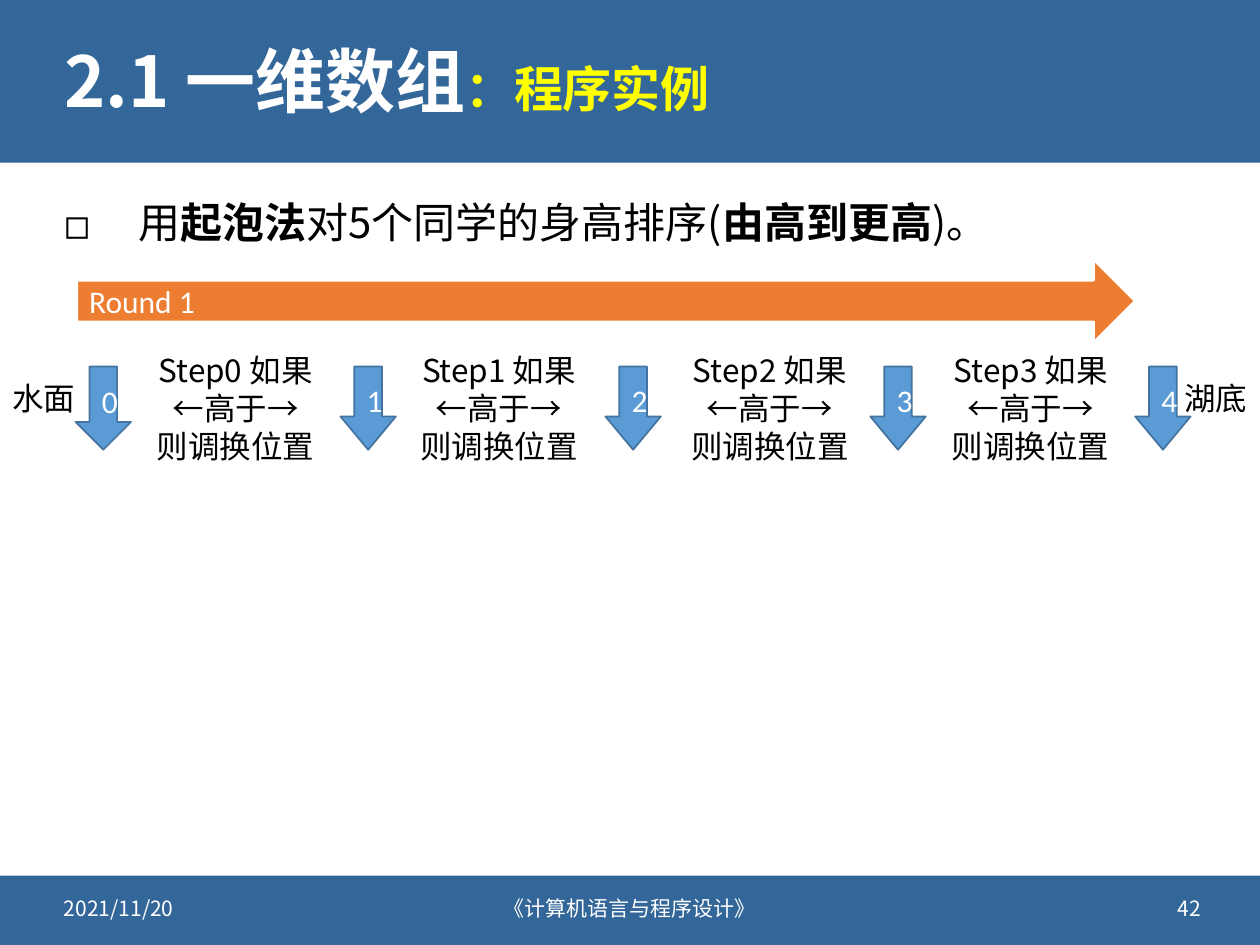
from lxml import etree
from pptx import Presentation
from pptx import util as u
from pptx.dml.color import RGBColor
from pptx.enum import shapes, text
from pptx.oxml.ns import qn

COLORS = {
    "bar": "336699", "white": "FFFFFF", "black": "000000", "yellow": "FFFF00",
    "blue": "5B9BD5", "blue_line": "43739E", "orange": "ED7D31",
}
CJK = "Noto Sans CJK SC"
LATIN = "Calibri"
LEFT, CENTER, RIGHT = text.PP_ALIGN.LEFT, text.PP_ALIGN.CENTER, text.PP_ALIGN.RIGHT
MIDDLE = text.MSO_ANCHOR.MIDDLE


def color(name):
    return RGBColor.from_string(COLORS[name])


def format_run(r, size, name="black", font=CJK, bold=False):
    r.font.size = u.Pt(size)
    r.font.bold = bold
    r.font.name = font
    r.font.color.rgb = color(name)
    ea = etree.SubElement(r.font._element, qn("a:ea"))
    ea.set("typeface", font)


def add_run(p, words, size, name="black", bold=False):
    r = p.add_run()
    r.text = words
    format_run(r, size, name, bold=bold)


def write(tf, words, size, name, font=CJK, align=LEFT):
    tf.text = words
    for p in tf.paragraphs:
        p.alignment = align
        for r in p.runs:
            format_run(r, size, name, font)


def place(sp, left, top, width, height):
    sp.left, sp.top = u.Inches(left), u.Inches(top)
    sp.width, sp.height = u.Inches(width), u.Inches(height)


def add_shape(s, kind, box, fill, line=None, line_width=1):
    sp = s.shapes.add_shape(kind, *map(u.Inches, box))
    sp.shadow.inherit = False
    sp.fill.solid()
    sp.fill.fore_color.rgb = color(fill)
    if line:
        sp.line.color.rgb = color(line)
        sp.line.width = u.Pt(line_width)
    else:
        sp.line.fill.background()
    return sp


def add_bar(s, top, height):
    sp = add_shape(s, shapes.MSO_SHAPE.RECTANGLE, (0, top, 10, height), "bar")
    s.shapes._spTree.insert(2, sp._element)  # behind the placeholders


def add_arrow(s, kind, box, fill, line, line_width, words, align):
    sp = add_shape(s, kind, box, fill, line, line_width)
    sp.text_frame.vertical_anchor = MIDDLE
    write(sp.text_frame, words, 18, "white", LATIN, align)
    return sp


def add_label(s, box, words, align=LEFT):
    tf = s.shapes.add_textbox(*map(u.Inches, box)).text_frame
    tf.word_wrap = False
    tf.auto_size = text.MSO_AUTO_SIZE.SHAPE_TO_FIT_TEXT
    write(tf, words, 18, "black", align=align)


def add_footer(s, left, width, words, align):
    tf = s.shapes.add_textbox(*map(u.Inches, (left, 7.01, width, 0.4))).text_frame
    tf.word_wrap = True
    tf.vertical_anchor = MIDDLE
    write(tf, words, 12, "white", align=align)


def fill_title(sp):
    place(sp, 0.41, 0.18, 9.19, 0.99)
    tf = sp.text_frame
    tf.auto_size = text.MSO_AUTO_SIZE.NONE
    tf.vertical_anchor = MIDDLE
    p = tf.paragraphs[0]
    p.alignment = LEFT
    p.line_spacing = 0.9
    add_run(p, "2.1 一维数组", 40, "white", True)
    add_run(p, "：程序实例", 28, "yellow", True)


def fill_body(sp):
    place(sp, 0.41, 1.47, 9.19, 0.66)
    tf = sp.text_frame
    tf.auto_size = text.MSO_AUTO_SIZE.NONE
    p = tf.paragraphs[0]
    p.line_spacing = 1.1
    p.space_before = u.Pt(10)
    pPr = p._p.get_or_add_pPr()
    pPr.set("marL", str(u.Inches(0.59)))
    pPr.set("indent", str(-u.Inches(0.59)))
    etree.SubElement(pPr, qn("a:buFont")).set("typeface", CJK)
    etree.SubElement(pPr, qn("a:buChar")).set("char", "◻")
    parts = ["用", "起泡法", "对5个同学的身高排序(", "由高到更高", ")。"]
    for i, words in enumerate(parts):
        add_run(p, words, 24, bold=i % 2 == 1)


def main():
    prs = Presentation()
    prs.slide_width, prs.slide_height = u.Inches(10), u.Inches(7.5)
    s = prs.slides.add_slide(prs.slide_layouts[1])

    # Header, footer and main text
    add_bar(s, 0, 1.29)
    add_bar(s, 6.95, 0.55)
    fill_title(s.shapes.title)
    fill_body(s.placeholders[1])
    add_footer(s, 0.41, 2.4, "2021/11/20", LEFT)
    add_footer(s, 3.2, 3.6, "《计算机语言与程序设计》", CENTER)
    add_footer(s, 7.23, 2.4, "42", RIGHT)

    # Five array positions
    for i in range(5):
        box = (0.6 + 2.1025 * i, 2.91, 0.44, 0.66)
        sp = add_arrow(s, shapes.MSO_SHAPE.DOWN_ARROW, box, "blue", "blue_line", 1,
                       str(i), CENTER)
        if i > 0:
            sp.adjustments[1] = 0.6

    # Comparison steps between neighbours
    for i, left in enumerate((1.13, 3.22, 5.37, 7.44)):
        add_label(s, (left, 2.74, 1.48, 1.01),
                  f"Step{i} 如果\n←高于→\n则调换位置", CENTER)

    # Round arrow and end labels
    add_arrow(s, shapes.MSO_SHAPE.RIGHT_ARROW, (0.61, 2.06, 8.4, 0.66), "orange",
              "white", 1.5, "Round 1", LEFT)
    add_label(s, (0, 2.96, 0.71, 0.4), "水面")
    add_label(s, (9.3, 2.96, 0.71, 0.4), "湖底")

    prs.save("out.pptx")


if __name__ == "__main__":
    main()
